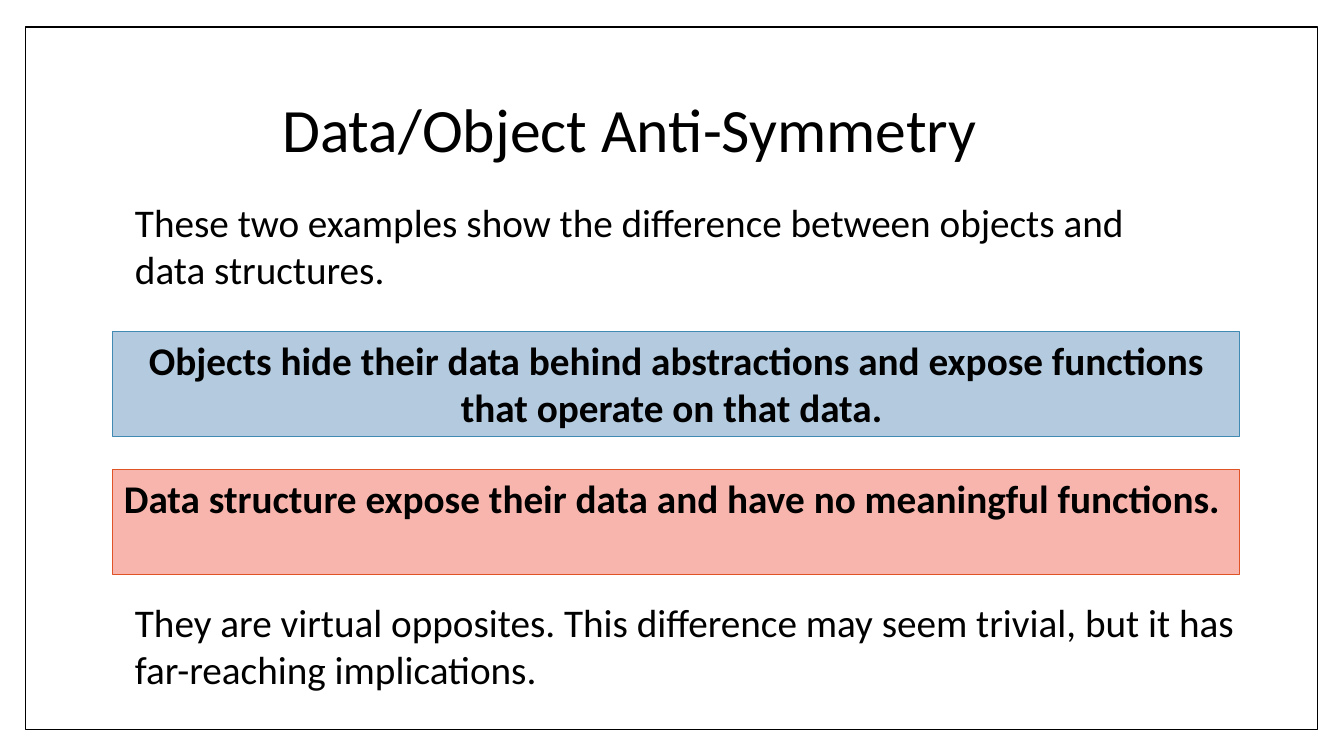
from dataclasses import dataclass

from pptx import Presentation
from pptx.dml.color import RGBColor
from pptx.enum.shapes import MSO_SHAPE as Shape
from pptx.enum.text import MSO_ANCHOR as Anchor, PP_ALIGN as Align
from pptx.util import Inches, Pt

# Content
TITLE = "Data/Object Anti-Symmetry"
INTRO = "These two examples show the difference between objects and data structures."
DEFINITIONS = [
    ("Objects hide their data behind abstractions and expose functions "
     "that operate on that data. ", "objects"),
    ("Data structure expose their data and have no meaningful functions. ",
     "structures"),
]
CLOSING = ("They are virtual opposites. This difference may seem trivial, "
           "but it has far-reaching implications.")


@dataclass(frozen=True)
class Theme:
    font: str = "Calibri"
    title_size: int = 44
    body_size: int = 28
    ink: str = "000000"
    paper: str = "FFFFFF"
    bands: tuple = (("objects", "B3CADF", "418AB3"),
                    ("structures", "F7B5AD", "DF5327"))


THEME = Theme()

# Layout in inches
SLIDE_W, SLIDE_H = 13.33, 7.5
FRAME = (0.25, 0.27, 12.82, 6.97)
TITLE_BOX = (2.7, 0.57, 7.98, 1.48)
TEXT_LEFT, BAND_LEFT, BAND_W, BLOCK_H = 1.24, 1.12, 11.17, 1.04
INTRO_TOP, INTRO_W, CLOSING_TOP = 1.92, 10.68, 5.89
BAND_TOP, BAND_STEP = 3.29, 1.37


def write(holder, text, size=THEME.body_size, bold=False, align=Align.LEFT,
          anchor=Anchor.TOP, spacing=1.0):
    frame = holder.text_frame
    frame.word_wrap = True
    frame.vertical_anchor = anchor
    paragraph = frame.paragraphs[0]
    paragraph.alignment, paragraph.line_spacing = align, spacing
    run = paragraph.add_run()
    run.text = text
    formats = {"name": THEME.font, "size": Pt(size), "bold": bold}
    for key, value in formats.items():
        setattr(run.font, key, value)
    run.font.color.rgb = RGBColor.from_string(THEME.ink)


def add_text(slide, box, text, **style):
    write(slide.shapes.add_textbox(*map(Inches, box)), text, **style)


def add_panel(slide, box, fill, line, width):
    panel = slide.shapes.add_shape(Shape.RECTANGLE, *map(Inches, box))
    panel.shadow.inherit = False
    panel.fill.solid()
    panel.fill.fore_color.rgb = RGBColor.from_string(fill)
    panel.line.color.rgb = RGBColor.from_string(line)
    panel.line.width = Pt(width)
    return panel


def main():
    deck = Presentation()
    deck.slide_width, deck.slide_height = Inches(SLIDE_W), Inches(SLIDE_H)
    slide = deck.slides.add_slide(deck.slide_layouts[6])

    # Frame and title
    add_panel(slide, FRAME, THEME.paper, THEME.ink, 1)
    add_text(slide, TITLE_BOX, TITLE, size=THEME.title_size,
             anchor=Anchor.MIDDLE, spacing=0.9)

    # Opening and closing statements
    add_text(slide, (TEXT_LEFT, INTRO_TOP, INTRO_W, BLOCK_H), INTRO)
    add_text(slide, (TEXT_LEFT, CLOSING_TOP, BAND_W, BLOCK_H), CLOSING)

    # Coloured definitions
    colours = {kind: (fill, line) for kind, fill, line in THEME.bands}
    for row, (definition, kind) in enumerate(DEFINITIONS):
        box = (BAND_LEFT, BAND_TOP + row * BAND_STEP, BAND_W, BLOCK_H)
        band = add_panel(slide, box, *colours[kind], 0.79)
        write(band, definition, bold=True, align=Align.CENTER)

    deck.save("out.pptx")


if __name__ == "__main__":
    main()
